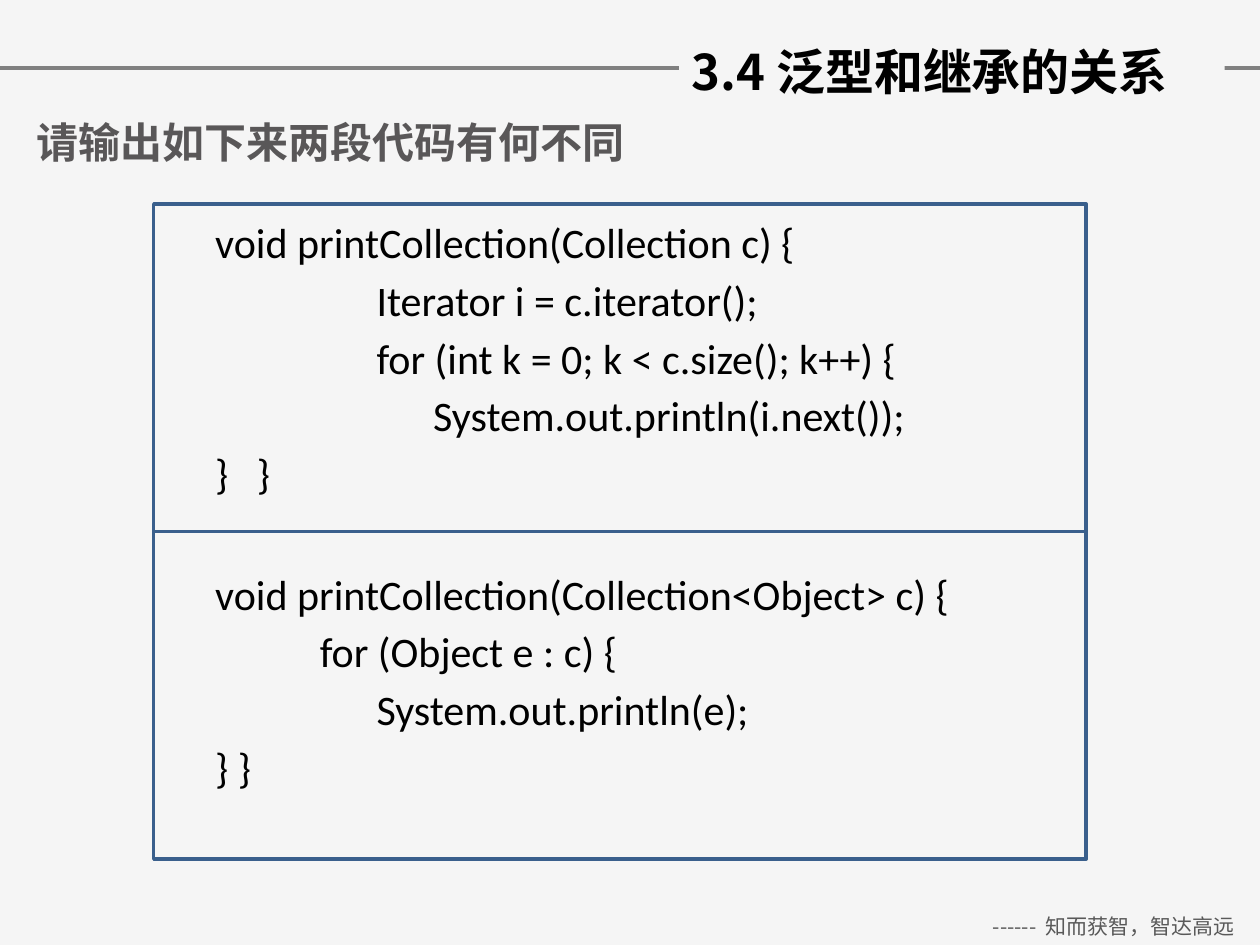
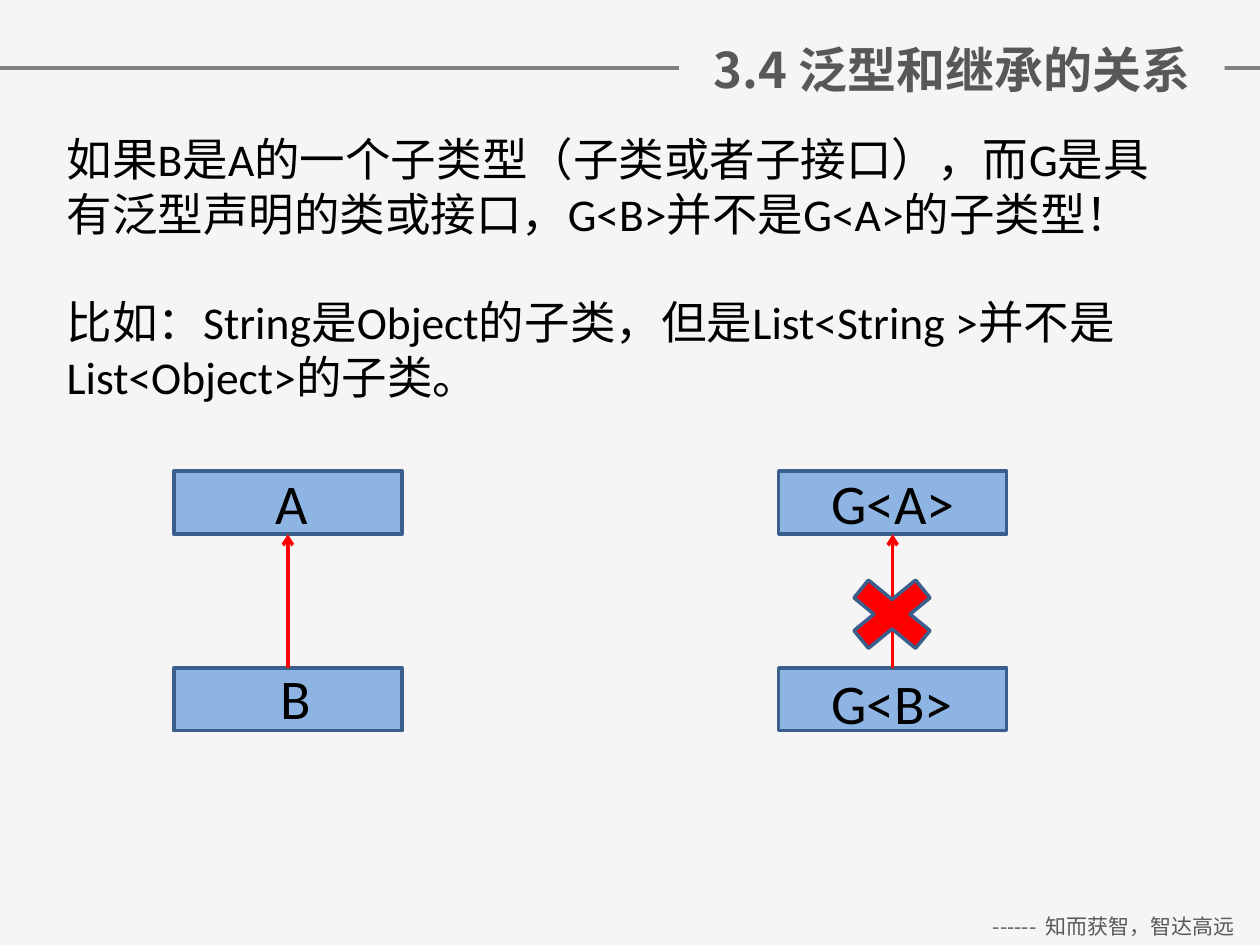
import pptx
import pptx.util
import pptx.dml.color
import pptx.enum.shapes
import pptx.enum.text
import pptx.oxml
import pptx.oxml.ns

RGB = pptx.dml.color.RGBColor
SHAPE = pptx.enum.shapes.MSO_SHAPE
ALIGN = pptx.enum.text.PP_ALIGN
ANCHOR = pptx.enum.text.MSO_ANCHOR
inches = pptx.util.Inches
points = pptx.util.Pt

PAPER = RGB(0xF5, 0xF5, 0xF5)
RULE = RGB(0x80, 0x80, 0x80)
BLACK = RGB(0, 0, 0)
TITLE_GREY = RGB(0x59, 0x57, 0x58)
FOOTER_GREY = RGB(0x59, 0x59, 0x59)
OUTLINE = RGB(0x3A, 0x5F, 0x8C)
BLUE = RGB(0x8E, 0xB4, 0xE3)
RED = RGB(0xFF, 0, 0)

LATIN = "Calibri"
HAN = "Noto Sans CJK SC"
WIDTH, HEIGHT = 10, 7.5
RULE_TOP = 0.54

TITLE = "3.4 泛型和继承的关系"
FOOTER = "------  知而获智，智达高远"
QUESTION = "请输出如下来两段代码有何不同"

INDENTS = [0, 0.83, 1.28, 1.73]
CODE_PANELS = [
    (1.67, 2.52, [
        (0, "void printCollection(Collection c) {"),
        (2, "Iterator i = c.iterator();"),
        (2, "for (int k = 0; k < c.size(); k++) {"),
        (3, "System.out.println(i.next());"),
        (0, "}   }"),
    ]),
    (4.46, 2.05, [
        (0, "void printCollection(Collection<Object> c) {"),
        (1, "for (Object e : c) {"),
        (2, "System.out.println(e);"),
        (0, "} }"),
    ]),
]
PANEL_LEFT, PANEL_TOP, PANEL_WIDTH, PANEL_HEIGHT = 1.22, 1.62, 7.4, 2.6

STATEMENTS = [
    "如果B是A的一个子类型（子类或者子接口），而G是具有泛型声明的类或接口，G<B>并不是G<A>的子类型！",
    "比如：String是Object的子类，但是List<String >并不是List<Object>的子类。",
]

NODE_WIDTH, NODE_HEIGHT = 1.81, 0.5
NODE_TOPS = [3.74, 5.3]
LABEL_HEIGHT = 0.64
HIERARCHIES = [
    (1.38, 0.67, [("A", 2.09, 3.67), ("B", 2.13, 5.22)]),
    (6.18, 1.34, [("G<A>", 6.5, 3.67), ("G<B>", 6.5, 5.26)]),
]


def write(box, lines, size, color=BLACK, font=LATIN, bold=False,
          align=ALIGN.LEFT, anchor=ANCHOR.TOP):
    frame = box.text_frame
    frame.text = "\n".join(lines)
    frame.word_wrap = True
    frame.vertical_anchor = anchor
    for para in frame.paragraphs:
        para.alignment = align
        for span in para.runs:
            span.font.size = points(size)
            span.font.bold = bold
            span.font.name = font
            span.font.color.rgb = color
            east_asian = pptx.oxml.parse_xml(
                f'<a:ea {pptx.oxml.ns.nsdecls("a")} typeface="{HAN}"/>')
            span.font._element.find(pptx.oxml.ns.qn("a:latin")).addnext(east_asian)
    return frame


def add_text(page, place, lines, size, **style):
    box = page.shapes.add_textbox(*map(inches, place))
    return write(box, lines, size, **style)


def add_block(page, place, fill=None, line=None, kind=SHAPE.RECTANGLE):
    block = page.shapes.add_shape(kind, *map(inches, place))
    block.shadow.inherit = False
    if fill is None:
        block.fill.background()
    else:
        block.fill.solid()
        block.fill.fore_color.rgb = fill
    if line is None:
        block.line.fill.background()
    else:
        block.line.color.rgb = line
        block.line.width = points(2)
    return block


def add_line(page, start, end, color, arrow=False):
    line = page.shapes.add_connector(
        pptx.enum.shapes.MSO_CONNECTOR.STRAIGHT, *map(inches, start + end))
    line.line.color.rgb = color
    line.line.width = points(2)
    names = pptx.oxml.ns.nsdecls("a")
    if arrow:
        line.line._get_or_add_ln().append(
            pptx.oxml.parse_xml(f'<a:tailEnd {names} type="arrow"/>'))
    line._element.spPr.append(pptx.oxml.parse_xml(f"<a:effectLst {names}/>"))


def add_heading(page, place, text, size, color, align=ALIGN.CENTER):
    write(add_block(page, place, fill=PAPER), [text], size, color=color,
          font=HAN, bold=True, align=align, anchor=ANCHOR.MIDDLE)


def add_title(page, top, color, align):
    add_heading(page, (5.39, top, 4.33, 0.57), TITLE, 28, color, align)


def add_page(deck):
    page = deck.slides.add_slide(deck.slide_layouts[6])
    page.background.fill.solid()
    page.background.fill.fore_color.rgb = PAPER
    add_line(page, (0, RULE_TOP), (WIDTH, RULE_TOP), RULE)
    add_text(page, (7.68, 7.2, 2.32, 0.3), [FOOTER], 12,
             color=FOOTER_GREY, font=HAN, align=ALIGN.CENTER)
    return page


def build_code_page(deck):
    page = add_page(deck)
    add_heading(page, (0.16, 0.84, 4.92, 0.57), QUESTION, 24, TITLE_GREY)
    for row, (top, height, code) in enumerate(CODE_PANELS):
        frame = add_text(page, (1.61, top, 6.69, height),
                         [text for level, text in code], 24)
        for para, (level, text) in zip(frame.paragraphs, code):
            para.space_before = points(4.2)
            para._p.get_or_add_pPr().set("marL", str(inches(INDENTS[level])))
        add_block(page, (PANEL_LEFT, PANEL_TOP + row * PANEL_HEIGHT,
                         PANEL_WIDTH, PANEL_HEIGHT), line=OUTLINE)
    add_title(page, 0.28, BLACK, ALIGN.LEFT)


def build_subtype_page(deck):
    page = add_page(deck)
    frame = add_text(page, (0.43, 0.99, 9.13, 2.29), STATEMENTS, 26)
    frame.paragraphs[0].space_after = points(31)
    parent_top, child_top = NODE_TOPS
    for left, label_width, labels in HIERARCHIES:
        for top in NODE_TOPS:
            add_block(page, (left, top, NODE_WIDTH, NODE_HEIGHT), BLUE, OUTLINE)
        center = left + NODE_WIDTH / 2
        add_line(page, (center, child_top), (center, parent_top + NODE_HEIGHT),
                 RED, arrow=True)
        for text, label_left, label_top in labels:
            add_text(page, (label_left, label_top, label_width, LABEL_HEIGHT),
                     [text], 32)
    add_block(page, (6.61, 4.49, 0.94, 0.77), RED, OUTLINE, SHAPE.MATH_MULTIPLY)
    add_title(page, 0.26, TITLE_GREY, ALIGN.CENTER)


def main():
    deck = pptx.Presentation()
    deck.slide_width = inches(WIDTH)
    deck.slide_height = inches(HEIGHT)
    build_code_page(deck)
    build_subtype_page(deck)
    deck.save("out.pptx")


if __name__ == "__main__":
    main()
